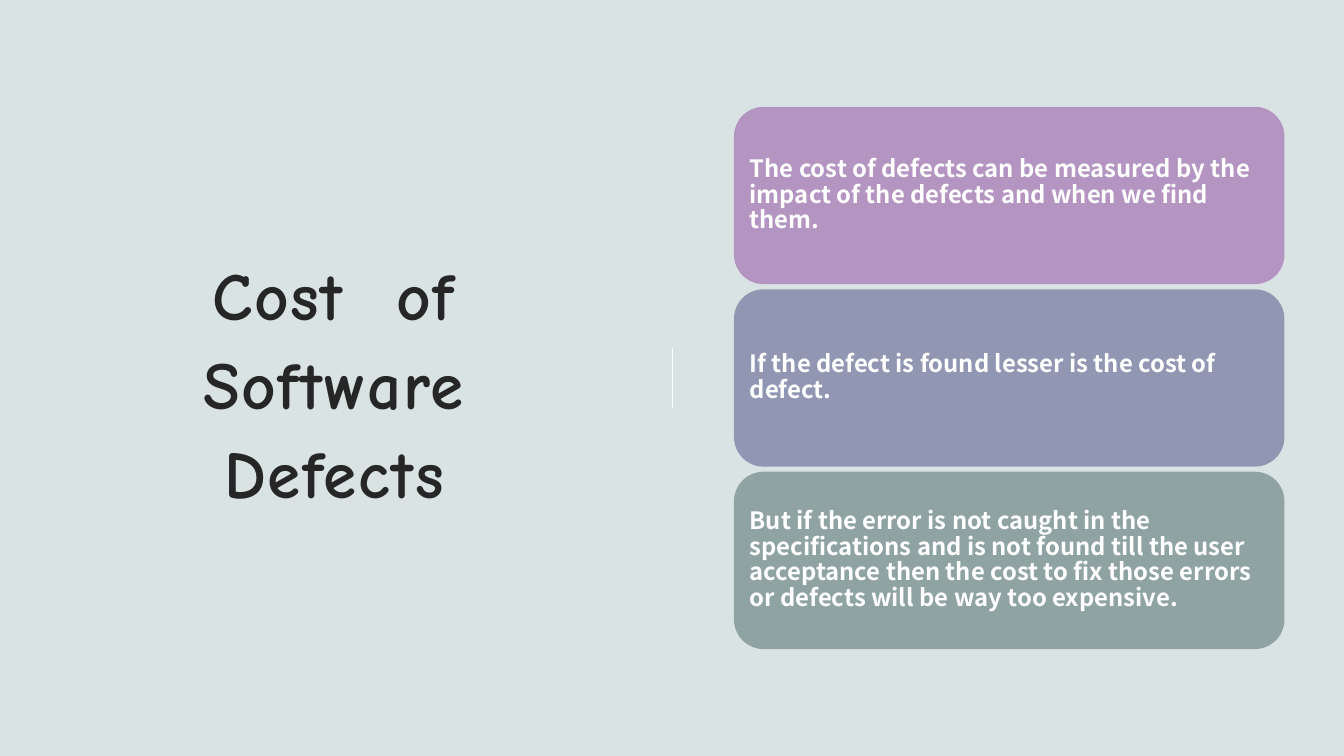
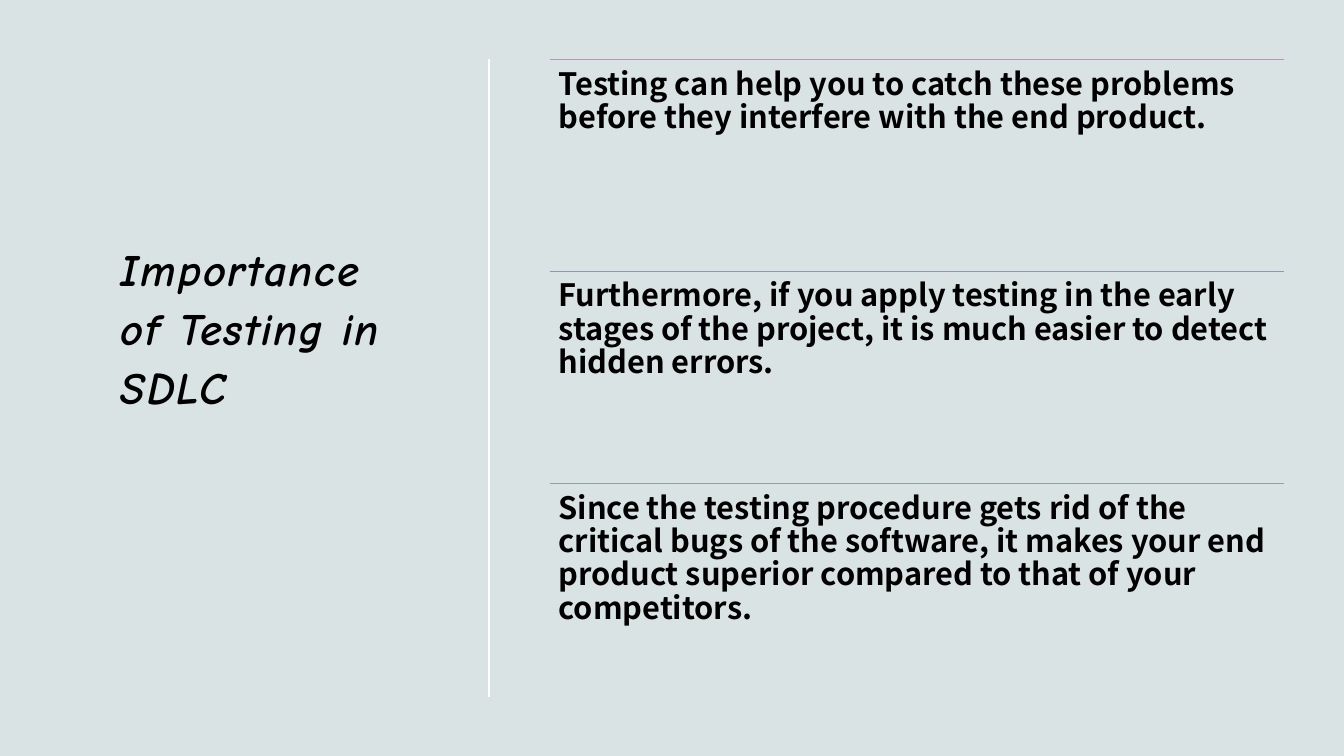
from pptx import Presentation
from pptx.dml.color import RGBColor
from pptx.enum.shapes import MSO_CONNECTOR, MSO_SHAPE
from pptx.enum.text import MSO_ANCHOR as ANCHOR, PP_ALIGN as ALIGN
from pptx.oxml.ns import qn
from pptx.util import Emu, Pt
from lxml.etree import SubElement

EMU_PER_PX = 9144  # 100 px to the inch
COLORS = {
    "background": "DAE3E3", "title": "262626", "black": "000000", "white": "FFFFFF",
    "purple": "B495C2", "blue": "9197B3", "green": "8FA3A3",
}
ACCENTS = ("purple", "blue", "green")
TITLE_FORMAT = {"name": "Comic Neue", "bold": True}
BODY_FORMAT = {"name": "Noto Sans CJK JP", "bold": True}
TITLE_INSETS = (12, 12, 12, 10)
TITLE_SPACING = 1.2
WIDE_SPACING = 20

COST_TITLE = [("Cost", TITLE_SPACING), (" ", WIDE_SPACING),
              ("of Software Defects", TITLE_SPACING)]
COST_POINTS = (
    "The cost of defects can be measured by the impact of the defects and when we find them.",
    "If the defect is found lesser is the cost of defect.",
    "But if the error is not caught in the specifications and is not found till the user "
    "acceptance then the cost to fix those errors or defects will be way too expensive.",
)
TESTING_TITLE = [("Importance of Testing in SDLC", TITLE_SPACING)]
TESTING_POINTS = (
    "Testing can help you to catch these problems before they interfere with the end product.",
    "Furthermore, if you apply testing in the early stages of the project, it is much easier "
    "to detect hidden errors.",
    "Since the testing procedure gets rid of the critical bugs of the software, it makes your "
    "end product superior compared to that of your competitors.",
)


def px(length):
    return Emu(length * EMU_PER_PX)


def rgb(name):
    return RGBColor.from_string(COLORS[name])


def write_text(shape, runs, font_format, size, color, insets, line_spacing,
               anchor=ANCHOR.TOP, align=ALIGN.LEFT):
    """Fill a shape with one paragraph of (text, letter spacing in points) runs."""
    frame = shape.text_frame
    frame.word_wrap = True
    frame.vertical_anchor = anchor
    for side, inset in zip(("left", "top", "right", "bottom"), insets):
        setattr(frame, f"margin_{side}", px(inset))
    paragraph = frame.paragraphs[0]
    paragraph.alignment = align
    paragraph.line_spacing = line_spacing
    for text, spacing in runs:
        run = paragraph.add_run()
        run.text = text
        for attribute, value in font_format.items():
            setattr(run.font, attribute, value)
        run.font.size = Pt(size)
        run.font.color.rgb = rgb(color)
        if spacing:
            run.font._element.set("spc", str(round(spacing * 100)))


def add_textbox(slide, box, *text_args, **text_options):
    shape = slide.shapes.add_textbox(*map(px, box))
    write_text(shape, *text_args, **text_options)


def add_title(slide, box, runs, size, color, italic=False, **text_options):
    add_textbox(slide, box, runs, {**TITLE_FORMAT, "italic": italic}, size, color,
                TITLE_INSETS, 1.1, **text_options)


def add_line(slide, start, end, color, width):
    line = slide.shapes.add_connector(MSO_CONNECTOR.STRAIGHT, *map(px, start + end))
    line.line.color.rgb = rgb(color)
    line.line.width = Pt(width)
    SubElement(line._element.spPr, qn("a:effectLst"))


def add_card(slide, box, text, color):
    card = slide.shapes.add_shape(MSO_SHAPE.ROUNDED_RECTANGLE, *map(px, box))
    card.shadow.inherit = False
    card.fill.solid()
    card.fill.fore_color.rgb = rgb(color)
    card.line.fill.background()
    write_text(card, [(text, 0)], BODY_FORMAT, 17, "white", (7,) * 4, 0.9,
               anchor=ANCHOR.MIDDLE)


def add_ruled_text(slide, box, text, color):
    left, top, width, _ = box
    add_line(slide, (left, top), (left + width, top), color, 0.75)
    add_textbox(slide, box, [(text, 0)], BODY_FORMAT, 22, "black", (9,) * 4, 0.9)


def build_cost_slide(slide):
    add_title(slide, (118, 118, 427, 513), COST_TITLE, 48, "title",
              anchor=ANCHOR.MIDDLE, align=ALIGN.CENTER)
    add_line(slide, (667, 345), (667, 405), "white", 1)
    height, gap = 176, 5
    for index, (text, color) in enumerate(zip(COST_POINTS, ACCENTS)):
        add_card(slide, (728, 106 + index * (height + gap), 546, height), text, color)


def build_testing_slide(slide):
    add_title(slide, (108, 222, 306, 395), TESTING_TITLE, 32, "black", italic=True)
    top, bottom = 59, 691
    add_line(slide, (485, top), (485, bottom), "white", 1)
    total = bottom - top
    count = len(TESTING_POINTS)
    for index, (text, color) in enumerate(zip(TESTING_POINTS, ACCENTS)):
        row_top = top + total * index // count
        add_ruled_text(slide, (545, row_top, 729, total // count), text, color)


def main():
    presentation = Presentation()
    presentation.slide_width, presentation.slide_height = px(1333), px(750)
    background = presentation.slide_master.background.fill
    background.solid()
    background.fore_color.rgb = rgb("background")
    blank = presentation.slide_layouts[6]
    for build in (build_cost_slide, build_testing_slide):
        build(presentation.slides.add_slide(blank))
    presentation.save("out.pptx")


if __name__ == "__main__":
    main()
